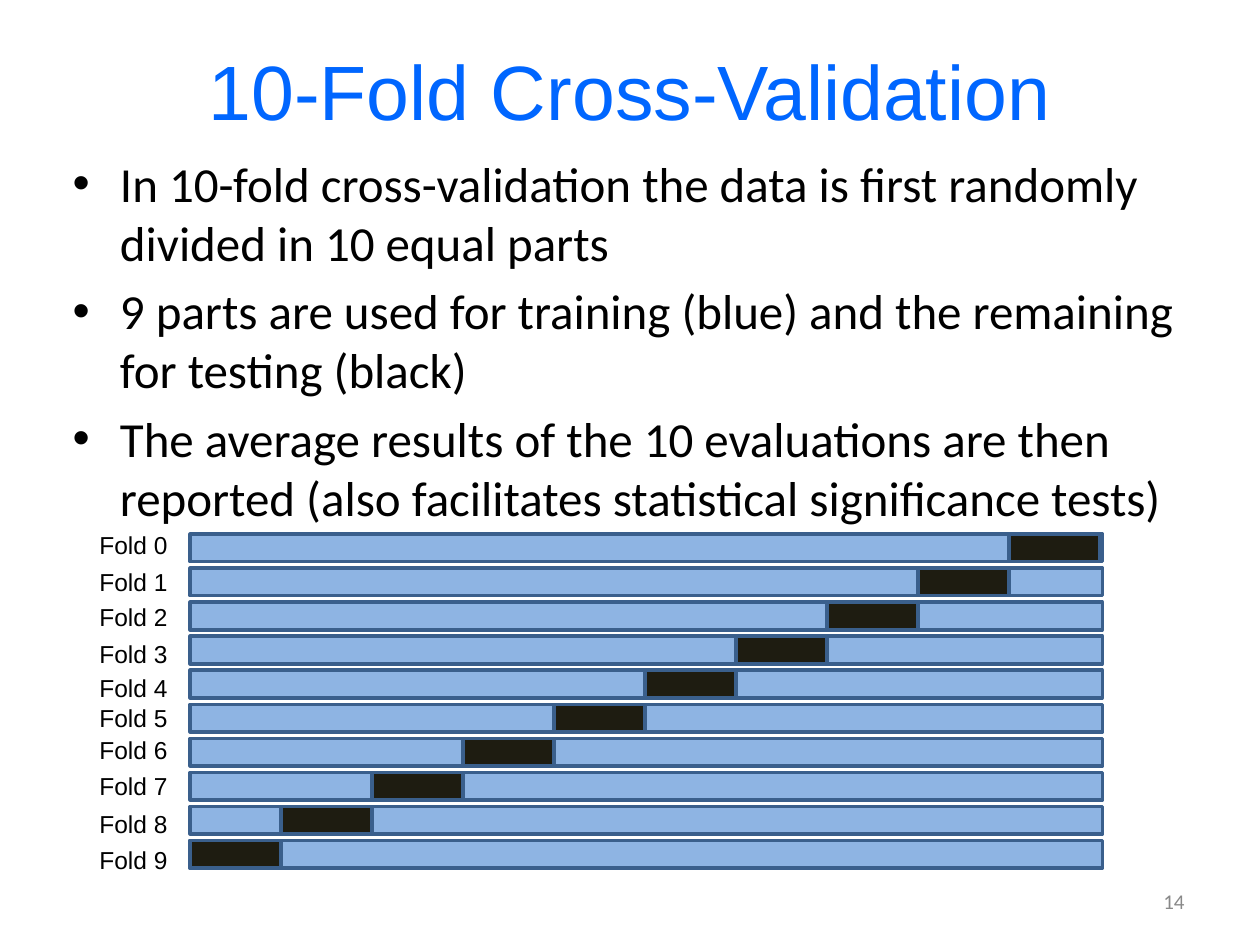
from dataclasses import dataclass

from lxml.etree import SubElement
from pptx import Presentation
from pptx.dml.color import RGBColor as Rgb
from pptx.enum.shapes import MSO_SHAPE as Geo
from pptx.enum.text import MSO_ANCHOR as Anchor, PP_ALIGN as Align
from pptx.oxml.ns import qn
from pptx.util import Pt


@dataclass(frozen=True)
class Theme:
    title: str = "0066FF"
    ink: str = "000000"
    gray: str = "898989"
    train: str = "8EB4E3"
    test: str = "1E1C11"
    edge: str = "3A5F8C"
    head: str = "Arial"
    body: str = "Calibri"
    title_size: int = 44
    body_size: int = 28
    label_size: int = 14
    page_size: int = 12
    edge_width: int = 2


class Deck:
    def __init__(self, theme):
        self.theme = theme
        self.prs = Presentation()
        self.prs.slide_width, self.prs.slide_height = Pt(720), Pt(540)
        self.slide = self.prs.slides.add_slide(self.prs.slide_layouts[6])

    def text(self, box, lines, face, size, color, align=Align.LEFT,
             anchor=Anchor.TOP, wrap=True, bullet=False):
        frame = self.slide.shapes.add_textbox(*map(Pt, box)).text_frame
        frame.word_wrap = wrap
        frame.vertical_anchor = anchor
        for i, line in enumerate(lines):
            para = frame.add_paragraph() if i else frame.paragraphs[0]
            para.alignment = align
            if bullet:
                self.bullet(para)
                para.space_before = Pt(0.2 * size if i else 0)
            run = para.add_run()
            run.text = line
            run.font.name = face
            run.font.size = Pt(size)
            run.font.color.rgb = Rgb.from_string(color)

    def bullet(self, para):
        props = para._p.get_or_add_pPr()
        props.set("marL", str(Pt(27)))
        props.set("indent", str(Pt(-27)))
        SubElement(props, qn("a:buFont"), typeface="Arial")
        SubElement(props, qn("a:buChar"), char="•")

    def bar(self, box, color):
        bar = self.slide.shapes.add_shape(Geo.RECTANGLE, *map(Pt, box))
        bar.shadow.inherit = False
        bar.fill.solid()
        bar.fill.fore_color.rgb = Rgb.from_string(color)
        bar.line.color.rgb = Rgb.from_string(self.theme.edge)
        bar.line.width = Pt(self.theme.edge_width)

    def save(self):
        self.prs.save("out.pptx")


POINTS = [
    "In 10-fold cross-validation the data is first randomly divided in 10 equal parts",
    "9 parts are used for training (blue) and the remaining for testing (black)",
    "The average results of the 10 evaluations are then reported "
    "(also facilitates statistical significance tests)",
]
LABEL_TOPS = [299.5, 320.4, 340.6, 361.4, 380.9, 398.2, 416.2, 437, 458.6, 479.5]
LEFT, TOP, PITCH = 108.7, 305.2, 19.45
WIDTH, HEIGHT, PART = 521.3, 15.8, 52


def main():
    look = Theme()
    deck = Deck(look)
    deck.text((36, 6, 648, 90), ["10-Fold Cross-Validation"], look.head,
              look.title_size, look.title, Align.CENTER, Anchor.MIDDLE)
    deck.text((34.5, 84, 648, 408), POINTS, look.body, look.body_size,
              look.ink, bullet=True)
    deck.text((516, 500.5, 168, 28.8), ["14"], look.body, look.page_size,
              look.gray, Align.RIGHT, Anchor.MIDDLE)
    last = len(LABEL_TOPS) - 1
    for fold, label_top in enumerate(LABEL_TOPS):
        top = TOP + fold * PITCH
        deck.bar((LEFT, top, WIDTH, HEIGHT), look.train)
        deck.bar((LEFT + (last - fold) * PART, top, PART, HEIGHT), look.test)
        deck.text((49.7, label_top, 54, 24.2), [f"Fold {fold}"], look.head,
                  look.label_size, look.ink, wrap=False)
    deck.save()


if __name__ == "__main__":
    main()
